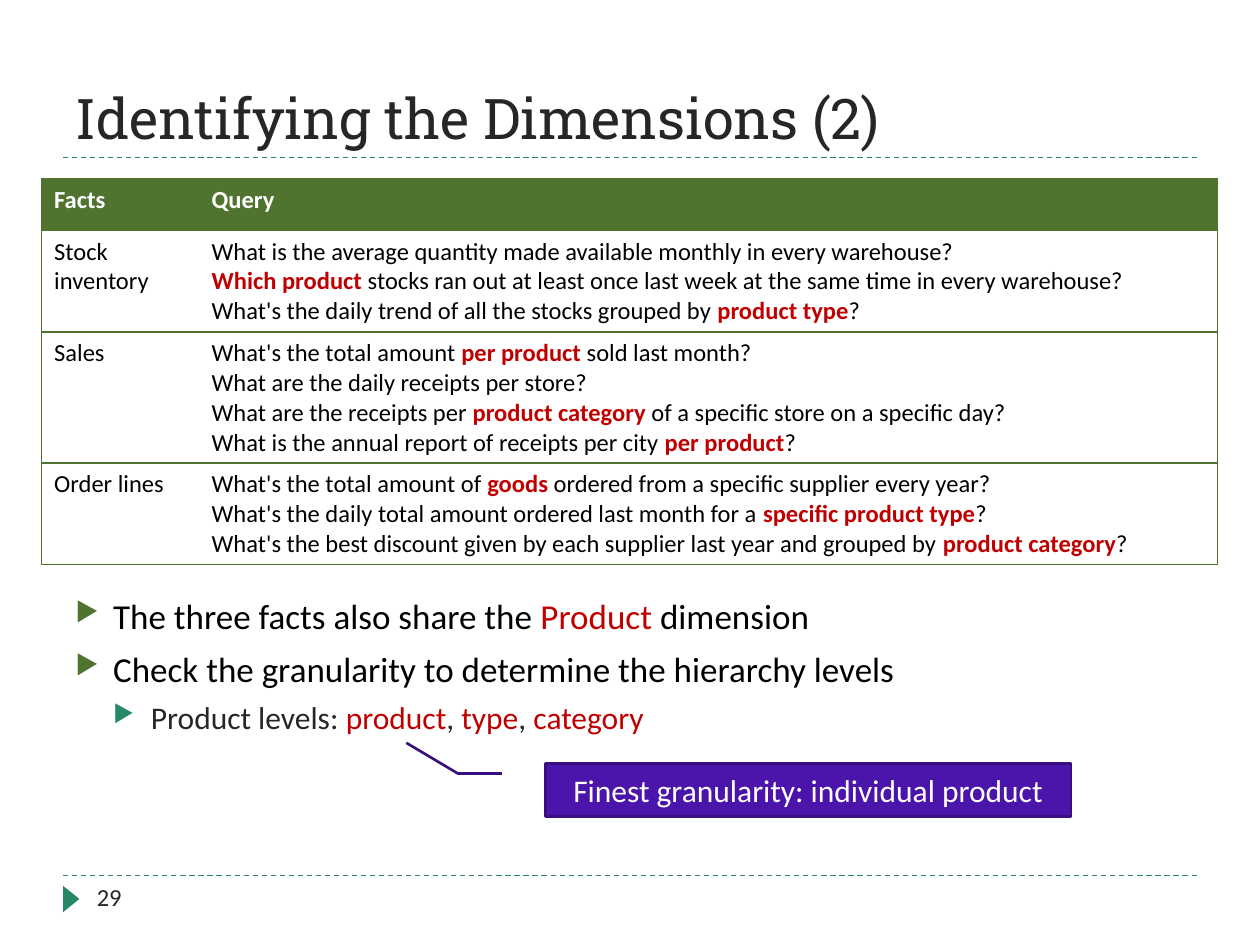
from lxml.etree import SubElement
from pptx import Presentation
from pptx.dml.color import RGBColor
from pptx.enum.dml import MSO_LINE
from pptx.enum.shapes import MSO_CONNECTOR, MSO_SHAPE
from pptx.enum.text import MSO_ANCHOR, MSO_AUTO_SIZE, PP_ALIGN
from pptx.oxml.ns import qn
from pptx.util import Inches, Pt

GREEN = RGBColor(0x50, 0x74, 0x2F)
TEAL = RGBColor(0x26, 0x88, 0x68)
RED = RGBColor(0xC0, 0x00, 0x00)
PURPLE = RGBColor(0x4B, 0x14, 0xAA)
DARK_PURPLE = RGBColor(0x37, 0x0F, 0x7E)
INK = RGBColor(0x26, 0x26, 0x26)
BLACK = RGBColor(0, 0, 0)
WHITE = RGBColor(255, 255, 255)

# Words between asterisks are highlighted in red.
TITLE = "Identifying the Dimensions (2)"
PAGE_NUMBER = "29"
HEADER = ("Facts", ["Query"])
FACTS = [
    ("Stock inventory", [
        "What is the average quantity made available monthly in every warehouse?",
        "*Which product *stocks ran out at least once last week at the same time in every warehouse?",
        "What's the daily trend of all the stocks grouped by *product type*?",
    ]),
    ("Sales", [
        "What's the total amount *per product *sold last month?",
        "What are the daily receipts per store?",
        "What are the receipts per *product category *of a specific store on a specific day?",
        "What is the annual report of receipts per city *per product*?",
    ]),
    ("Order lines", [
        "What's the total amount of *goods* ordered from a specific supplier every year?",
        "What's the daily total amount ordered last month for a *specific product type*?",
        "What's the best discount given by each supplier last year and grouped by *product category*?",
    ]),
]
# Text, level
BULLETS = [
    ("The three facts also share the *Product* dimension", 0),
    ("Check the granularity to determine the hierarchy levels", 0),
    ("Product levels: *product*, *type*, *category*", 1),
]
# Size, text colour, bullet colour, space before
LEVELS = [(20, BLACK, GREEN, 6), (18, INK, TEAL, 5)]
CALLOUT = "Finest granularity: individual product"
CALLOUT_BEND = (0.188, -0.083, 0.188, -0.167, -0.391, -0.265)

COLUMN_WIDTHS = (1.25, 8.08)
HEADER_HEIGHT = 0.41
LINE_HEIGHT, CELL_PADDING = 0.235, 0.1
RULES = (1.25, 6.95)


def write(paragraph, text, size=14, color=BLACK, bold=False, strong=False,
          font="Calibri", align=PP_ALIGN.LEFT):
    """Fill a paragraph; strong makes the highlighted words bold."""
    paragraph.alignment = align
    for i, part in enumerate(text.split("*")):
        if part:
            highlighted = i % 2 == 1
            run = paragraph.add_run()
            run.text = part
            run.font.name = font
            run.font.size = Pt(size)
            run.font.bold = bold or (strong and highlighted)
            run.font.color.rgb = RED if highlighted else color


def paragraphs(frame, count):
    return [frame.paragraphs[0]] + [frame.add_paragraph() for _ in range(count - 1)]


def add_bullet(paragraph, level, color):
    properties = paragraph._p.get_or_add_pPr()
    properties.set("marL", str(Inches(0.3 * (level + 1))))
    properties.set("indent", str(Inches(-0.3)))
    bullet_color = SubElement(properties, qn("a:buClr"))
    SubElement(bullet_color, qn("a:srgbClr"), val=str(color))
    SubElement(properties, qn("a:buSzPct"), val="76000")
    SubElement(properties, qn("a:buChar"), char="▶")


def set_borders(cell, sides):
    """Draw green borders on the given sides (L, R, T, B) and none elsewhere."""
    properties = cell._tc.get_or_add_tcPr()
    for side in "LRTB":
        border = SubElement(properties, qn("a:ln" + side), w=str(Pt(0.75)))
        if side in sides:
            fill = SubElement(border, qn("a:solidFill"))
            SubElement(fill, qn("a:srgbClr"), val=str(GREEN))
        else:
            SubElement(border, qn("a:noFill"))


def add_rule(slide, y):
    rule = slide.shapes.add_connector(
        MSO_CONNECTOR.STRAIGHT, Inches(0.5), Inches(y), Inches(9.5), Inches(y))
    rule.line.color.rgb = TEAL
    rule.line.width = Pt(0.75)
    rule.line.dash_style = MSO_LINE.DASH
    SubElement(rule._element.spPr, qn("a:effectLst"))


def add_facts_table(slide):
    rows = [HEADER] + FACTS
    heights = [HEADER_HEIGHT] + [
        CELL_PADDING + LINE_HEIGHT * len(queries) for _, queries in FACTS]
    table = slide.shapes.add_table(
        len(rows), len(COLUMN_WIDTHS), Inches(0.33), Inches(1.42),
        Inches(sum(COLUMN_WIDTHS)), Inches(sum(heights))).table
    table.first_row = True
    table.horz_banding = False
    for column, width in zip(table.columns, COLUMN_WIDTHS):
        column.width = Inches(width)
    for r, (fact, queries) in enumerate(rows):
        table.rows[r].height = Inches(heights[r])
        is_header = r == 0
        for c, lines in enumerate(([fact], queries)):
            cell = table.cell(r, c)
            set_borders(cell, "LTB" if c == 0 else "RTB")
            if is_header:
                cell.fill.solid()
                cell.fill.fore_color.rgb = GREEN
            else:
                cell.fill.background()
            for paragraph, line in zip(paragraphs(cell.text_frame, len(lines)), lines):
                write(paragraph, line, color=WHITE if is_header else BLACK,
                      bold=is_header, strong=True)


def add_text_frame(slide, left, top, width, height):
    frame = slide.shapes.add_textbox(
        Inches(left), Inches(top), Inches(width), Inches(height)).text_frame
    frame.word_wrap = True
    return frame


def add_bullets(slide):
    frame = add_text_frame(slide, 0.5, 4.67, 9, 1.67)
    for i, (paragraph, (text, level)) in enumerate(
            zip(paragraphs(frame, len(BULLETS)), BULLETS)):
        size, color, bullet_color, space = LEVELS[level]
        paragraph.level = level
        paragraph.space_before = Pt(space if i else 0)
        add_bullet(paragraph, level, bullet_color)
        write(paragraph, text, size=size, color=color)


def add_filled_shape(slide, kind, left, top, width, height, color):
    shape = slide.shapes.add_shape(
        kind, Inches(left), Inches(top), Inches(width), Inches(height))
    shape.shadow.inherit = False
    shape.fill.solid()
    shape.fill.fore_color.rgb = color
    shape.line.fill.background()
    return shape


def main():
    deck = Presentation()
    deck.slide_width, deck.slide_height = Inches(10), Inches(7.5)
    slide = deck.slides.add_slide(deck.slide_layouts[5])

    for y in RULES:
        add_rule(slide, y)
    page_marker = add_filled_shape(
        slide, MSO_SHAPE.ISOSCELES_TRIANGLE, 0.46, 7.07, 0.21, 0.13, TEAL)
    page_marker.rotation = 90

    title = slide.shapes.title
    title.left, title.top = Inches(0.5), Inches(0.17)
    title.width, title.height = Inches(9), Inches(1.08)
    title.text_frame.auto_size = MSO_AUTO_SIZE.NONE
    title.text_frame.vertical_anchor = MSO_ANCHOR.BOTTOM
    write(title.text_frame.paragraphs[0], TITLE, size=32, color=INK, font="Roboto Slab")

    page_frame = add_text_frame(slide, 0.67, 6.95, 2.17, 0.4)
    write(page_frame.paragraphs[0], PAGE_NUMBER, color=INK)

    add_facts_table(slide)
    add_bullets(slide)

    callout = add_filled_shape(
        slide, MSO_SHAPE.LINE_CALLOUT_2, 4.33, 6.06, 4.17, 0.42, PURPLE)
    callout.line.color.rgb = DARK_PURPLE
    callout.line.width = Pt(1.5)
    for i, value in enumerate(CALLOUT_BEND):
        callout.adjustments[i] = value
    callout.text_frame.vertical_anchor = MSO_ANCHOR.MIDDLE
    write(callout.text_frame.paragraphs[0], CALLOUT, size=18, color=WHITE,
          align=PP_ALIGN.CENTER)

    deck.save("out.pptx")


if __name__ == "__main__":
    main()
